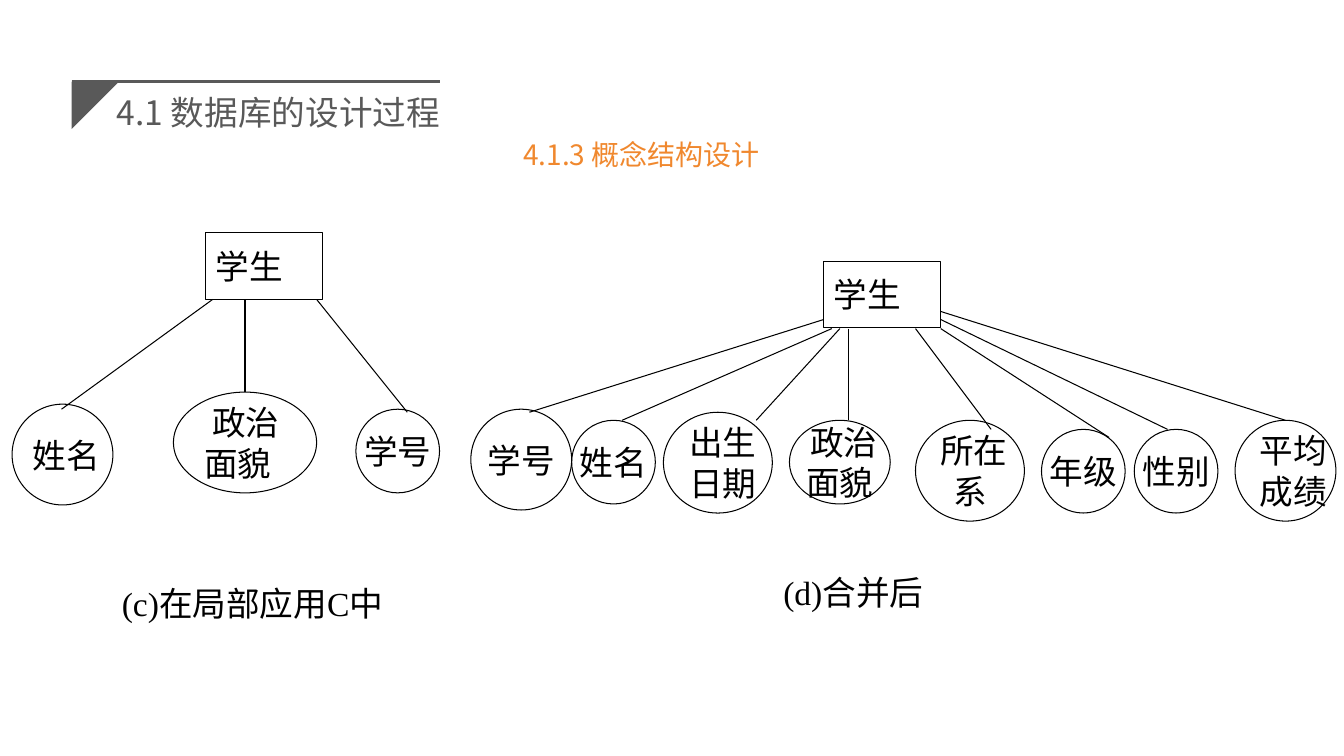
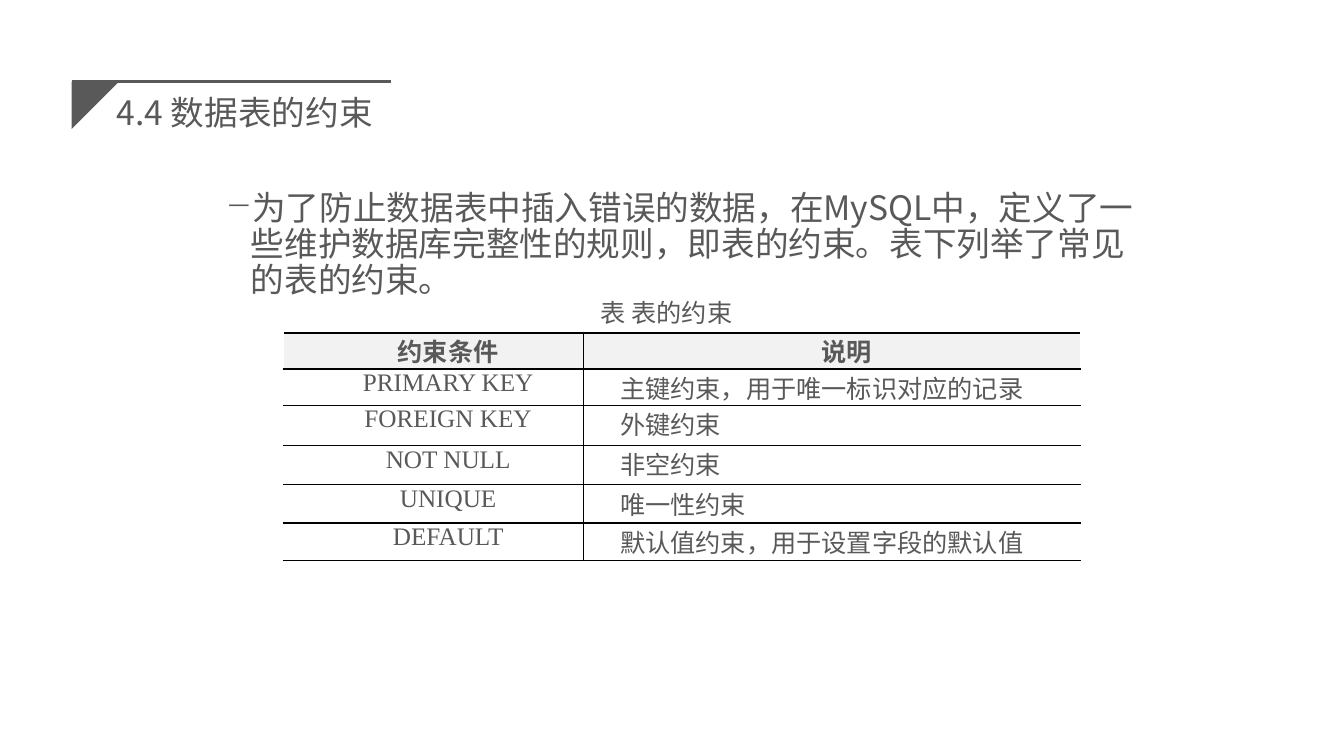
"""Build two database design slides: an entity diagram and a table of constraints."""
from lxml.etree import SubElement
from pptx import Presentation
from pptx.dml.color import RGBColor
from pptx.enum.shapes import MSO_CONNECTOR, MSO_SHAPE
from pptx.enum.text import MSO_ANCHOR as ANCHOR, PP_ALIGN as ALIGN
from pptx.oxml import parse_xml
from pptx.oxml.ns import nsdecls, qn
from pptx.util import Inches, Pt

GREY, ORANGE, BLACK, HEADER_FILL = "595959", "F0882E", "000000", "F2F2F2"
SANS, SERIF = "Noto Sans CJK SC", "Times New Roman"


def write(frame, lines, font_name, size, colour, align=ALIGN.LEFT, anchor=ANCHOR.MIDDLE,
          wrap=False, margin=0, indent=0, bullet=None):
    """Fill a text frame with equally styled paragraphs; margin indents the first one."""
    frame.word_wrap = wrap
    frame.vertical_anchor = anchor
    for index, line in enumerate(lines):
        paragraph = frame.paragraphs[0] if index == 0 else frame.add_paragraph()
        paragraph.text = line
        paragraph.alignment = align
        properties = paragraph._p.get_or_add_pPr()
        if index == 0:
            properties.set("marL", str(Inches(margin)))
            properties.set("indent", str(Inches(indent)))
        if bullet:
            SubElement(properties, qn("a:buChar"), char=bullet)
        font = paragraph.font
        font.name, font.size = font_name, Pt(size)
        font.color.rgb = RGBColor.from_string(colour)


def add_line(slide, start, end, colour=BLACK, width=0.75):
    """Draw a straight line between two points given in inches."""
    line = slide.shapes.add_connector(
        MSO_CONNECTOR.STRAIGHT, *[Inches(value) for value in (*start, *end)])
    line.line.color.rgb = RGBColor.from_string(colour)
    line.line.width = Pt(width)
    SubElement(line._element.spPr, qn("a:effectLst"))


presentation = Presentation()
presentation.slide_width, presentation.slide_height = Inches(13.33), Inches(7.5)

slides = []
for title, rule_end in [("4.1 数据库的设计过程", 4.36), ("4.4 数据表的约束", 3.88)]:
    slide = presentation.slides.add_slide(presentation.slide_layouts[6])
    box = slide.shapes.add_textbox(Inches(1.06), Inches(0.69), Inches(3.95), Inches(0.84))
    write(box.text_frame, [title], SANS, 24, GREY, wrap=True)
    builder = slide.shapes.build_freeform(Inches(0.71), Inches(0.81))
    builder.add_line_segments([(Inches(1.18), Inches(0.81)), (Inches(0.71), Inches(1.28))])
    corner = builder.convert_to_shape()
    corner.shadow.inherit = False
    corner.fill.solid()
    corner.fill.fore_color.rgb = RGBColor.from_string(GREY)
    corner.line.fill.background()
    add_line(slide, (0.71, 0.81), (rule_end, 0.81), GREY, 1.75)
    slides.append(slide)
diagram_slide, table_slide = slides

subtitle = diagram_slide.shapes.add_textbox(Inches(5.09), Inches(1.28), Inches(2.9), Inches(0.5))
write(subtitle.text_frame, ["4.1.3 概念结构设计"], SANS, 20, ORANGE, wrap=True)

LEFT, CENTER = ALIGN.LEFT, ALIGN.CENTER
RECTANGLE, OVAL = MSO_SHAPE.RECTANGLE, MSO_SHAPE.OVAL
nodes = [
    (RECTANGLE, 2.04, 2.31, 1.16, 0.66, ["学生"], LEFT, 0),
    (OVAL, 0.12, 4.01, 1, 1, ["姓名"], CENTER, 0.08),
    (OVAL, 1.72, 3.89, 1.42, 1, ["政治", "面貌"], LEFT, 0.08),
    (OVAL, 3.53, 4.06, 0.83, 0.83, ["学号"], CENTER, 0),
    (RECTANGLE, 8.17, 2.59, 1.16, 0.66, ["学生"], LEFT, 0),
    (OVAL, 4.67, 4.06, 1, 1, ["学号"], CENTER, 0),
    (OVAL, 5.67, 4.17, 0.83, 0.83, ["姓名"], CENTER, 0),
    (OVAL, 6.58, 4.09, 1.08, 1, ["出生", "日期"], LEFT, 0),
    (OVAL, 7.83, 4.17, 1, 0.83, ["政治", "面貌"], CENTER, 0.08),
    (OVAL, 9.08, 4.17, 1.08, 1, ["所在", "系"], CENTER, 0.08),
    (OVAL, 10.33, 4.26, 0.83, 0.83, ["年级"], CENTER, 0),
    (OVAL, 11.25, 4.26, 0.83, 0.83, ["性别"], CENTER, 0),
    (OVAL, 12.25, 4.17, 1, 1, ["平均", "成绩"], LEFT, 0),
]
for kind, left, top, width, height, lines, align, margin in nodes:
    node = diagram_slide.shapes.add_shape(
        kind, Inches(left), Inches(top), Inches(width), Inches(height))
    node.shadow.inherit = False
    node.fill.background()
    node.line.color.rgb = RGBColor.from_string(BLACK)
    node.line.width = Pt(0.75)
    write(node.text_frame, lines, SERIF, 24, BLACK, align, margin=margin)

links = [
    ((2.11, 2.97), (0.61, 4.06)), ((2.43, 2.97), (2.43, 3.89)), ((3.14, 2.97), (4.04, 4.09)),
    ((8.17, 3.17), (5.25, 4.09)), ((8.25, 3.26), (6.17, 4.17)), ((8.33, 3.26), (7.5, 4.17)),
    ((8.42, 3.26), (8.42, 4.17)), ((9.08, 3.26), (9.83, 4.26)), ((9.33, 3.26), (11, 4.34)),
    ((9.33, 3.17), (11.58, 4.26)), ((9.33, 3.09), (12.75, 4.17)),
]
for start, end in links:
    add_line(diagram_slide, start, end)

for left, top, caption in [(1.11, 5.65, "(c)在局部应用C中"), (7.67, 5.54, "(d)合并后")]:
    box = diagram_slide.shapes.add_textbox(Inches(left), Inches(top), Inches(3.25), Inches(0.67))
    write(box.text_frame, [caption], SERIF, 24, BLACK)

body = table_slide.shapes.add_textbox(Inches(2.14), Inches(1.85), Inches(9.26), Inches(1.2))
write(body.text_frame,
      ["为了防止数据表中插入错误的数据，在MySQL中，定义了一些维护数据库完整性的规则，即表的约束。"
       "表下列举了常见的表的约束。"],
      SANS, 24, GREY, anchor=ANCHOR.TOP, wrap=True, margin=0.25, indent=-0.25, bullet="−")
body.text_frame.paragraphs[0].line_spacing = 0.9

table_caption = table_slide.shapes.add_textbox(Inches(4.92), Inches(2.9), Inches(3.38), Inches(0.4))
write(table_caption.text_frame, ["表 表的约束"], SERIF, 18, GREY, CENTER, wrap=True)

rows = [
    ("约束条件", "说明"),
    ("PRIMARY KEY", "主键约束，用于唯一标识对应的记录"),
    ("FOREIGN KEY", "外键约束"),
    ("NOT NULL", "非空约束"),
    ("UNIQUE", "唯一性约束"),
    ("DEFAULT", "默认值约束，用于设置字段的默认值"),
]
table = table_slide.shapes.add_table(
    len(rows), 2, Inches(2.81), Inches(3.3), Inches(7.91), Inches(2.26)).table
table.first_row = table.horz_banding = False
for column, width in zip(table.columns, [2.98, 4.93]):
    column.width = Inches(width)
for row, height in zip(table.rows, [0.36, 0.36, 0.4, 0.39, 0.38, 0.37]):
    row.height = Inches(height)
for row_index, texts in enumerate(rows):
    is_header = row_index == 0
    for column_index, text in enumerate(texts):
        cell = table.cell(row_index, column_index)
        cell.margin_left = cell.margin_right = Inches(0.07)
        cell.margin_top = cell.margin_bottom = 0
        align = CENTER if is_header or column_index == 0 else LEFT
        write(cell.text_frame, [text], SERIF, 18, GREY, align, ANCHOR.TOP, True, indent=0.29)
        cell.text_frame.paragraphs[0].font.bold = is_header
        divider = "lnR" if column_index == 0 else "lnL"
        for edge in (divider, "lnT", "lnB"):
            weight = Pt(1.5 if is_header and edge == "lnT" else 1)
            cell._tc.get_or_add_tcPr().append(parse_xml(
                f'<a:{edge} {nsdecls("a")} w="{weight}"><a:solidFill>'
                f'<a:srgbClr val="{BLACK}"/></a:solidFill></a:{edge}>'))
        if is_header:
            cell.fill.solid()
            cell.fill.fore_color.rgb = RGBColor.from_string(HEADER_FILL)
        else:
            cell.fill.background()

presentation.save("out.pptx")
